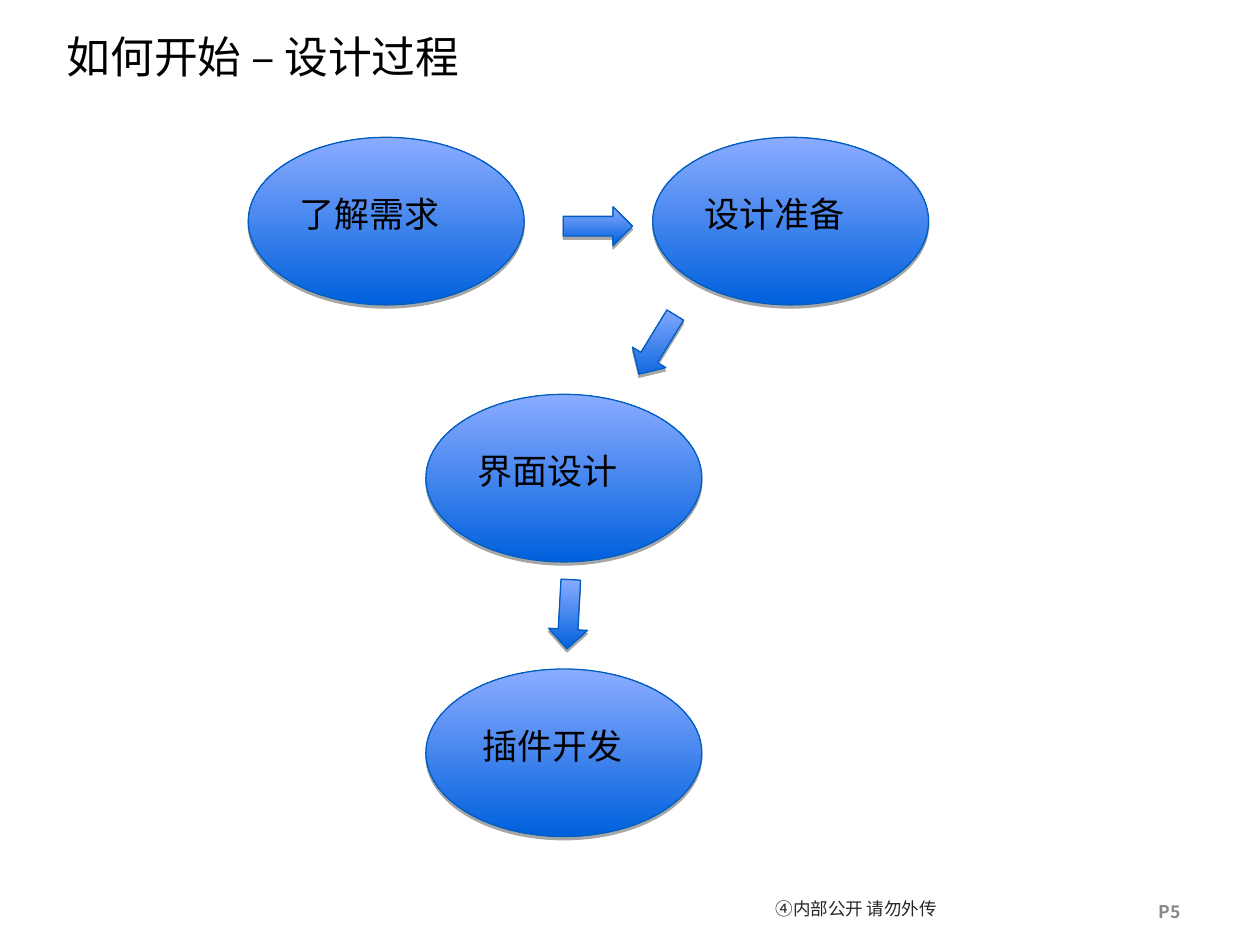
from lxml import etree
from pptx import Presentation
from pptx import util as u
from pptx.dml.color import RGBColor
from pptx.enum import shapes, text
from pptx.oxml import ns

FONT = "Noto Sans CJK SC"
WIDE, HIGH = 10, 7.5
COLS = 10
CELL = u.Inches(WIDE) // COLS
OVAL = (2.19, 1.33)
LABEL = (1.48, 0.44)
ARROW = (0.55, 0.31)
DROP = 0.39


def tint(code):
    return RGBColor.from_string(code)


def grid(*spans):
    return [round(span * CELL) for span in spans]


def child(node, tag, **attrs):
    return etree.SubElement(node, ns.qn(tag), attrs)


def write(box, words, size, color="000000", bold=False, align=None, space=None):
    para = box.text_frame.paragraphs[0]
    para.alignment = align
    para.line_spacing = space
    run = para.add_run()
    run.text = words
    font = run.font
    font.name, font.size, font.bold = FONT, u.Pt(size), bold
    font.color.rgb = tint(color)
    child(run._r.get_or_add_rPr(), "a:ea", typeface=FONT)


def frame(box, anchor, pad=(0.1, 0.05)):
    body = box.text_frame
    body.word_wrap = True
    body.auto_size = text.MSO_AUTO_SIZE.NONE
    body.vertical_anchor = anchor
    body.margin_left = body.margin_right = u.Inches(pad[0])
    body.margin_top = body.margin_bottom = u.Inches(pad[1])


def label(home, spot, words, size, anchor=text.MSO_ANCHOR.TOP,
          pad=(0.1, 0.05), **style):
    box = home.add_textbox(*grid(*spot))
    frame(box, anchor, pad)
    write(box, words, size, **style)


def title(slide, words):
    box = slide.shapes.title
    box.left, box.top, box.width, box.height = grid(0.43, 0, 7.32, 0.68)
    frame(box, text.MSO_ANCHOR.MIDDLE)
    write(box, words, 25, align=text.PP_ALIGN.LEFT, space=1.5)


def shade(shape):
    shape.shadow.inherit = False
    effects = shape._element.spPr.find(ns.qn("a:effectLst"))
    cast = child(effects, "a:outerShdw", blurRad="0", dist=str(u.Pt(1.8)),
                 dir="5400000", rotWithShape="0")
    color = child(cast, "a:srgbClr", val="000000")
    child(color, "a:alpha", val="35000")


def glossy(home, kind, spot, turn=0, angle=90):
    shape = home.add_shape(kind, *grid(*spot))
    shape.rotation = turn
    fill = shape.fill
    fill.gradient()
    fill.gradient_angle = angle
    for stop, place, code in zip(fill.gradient_stops, (0, 1), ("0060DD", "8BACFF")):
        stop.position = place
        stop.color.rgb = tint(code)
    shape.line.color.rgb = tint("005EC0")
    shape.line.width = u.Pt(0.75)
    shade(shape)


def step(slide, words, left, top, inset=0.31, arrow=None):
    home = slide.shapes.add_group_shape().shapes
    glossy(home, shapes.MSO_SHAPE.OVAL, (left, top, *OVAL))
    label(home, (left + inset, top + DROP, *LABEL), words, 20)
    if arrow:
        x, y, turn, angle = arrow
        glossy(home, shapes.MSO_SHAPE.RIGHT_ARROW, (x, y, *ARROW), turn, angle)


def main():
    deck = Presentation()
    deck.slide_width, deck.slide_height = u.Inches(WIDE), u.Inches(HIGH)
    slide = deck.slides.add_slide(deck.slide_layouts[5])
    label(slide.shapes, (5.91, 7.02, 1.77, 0.36), "④内部公开 请勿外传", 10,
          anchor=text.MSO_ANCHOR.MIDDLE, pad=(0.08, 0.01), color="262626",
          align=text.PP_ALIGN.CENTER, space=u.Pt(14))
    label(slide.shapes, (9.1, 7.1, 0.9, 0.29), "P5", 10,
          color="898989", bold=True)
    title(slide, "如何开始 – 设计过程")
    step(slide, "了解需求", 1.97, 1.09)
    step(slide, "设计准备", 5.18, 1.09, arrow=(4.47, 1.64, 0, 90))
    step(slide, "界面设计", 3.38, 3.13, arrow=(4.94, 2.58, 121.5, 212))
    step(slide, "插件开发", 3.38, 5.31, 0.35, (4.24, 4.72, 93.2, 183))
    deck.save("out.pptx")


if __name__ == "__main__":
    main()
